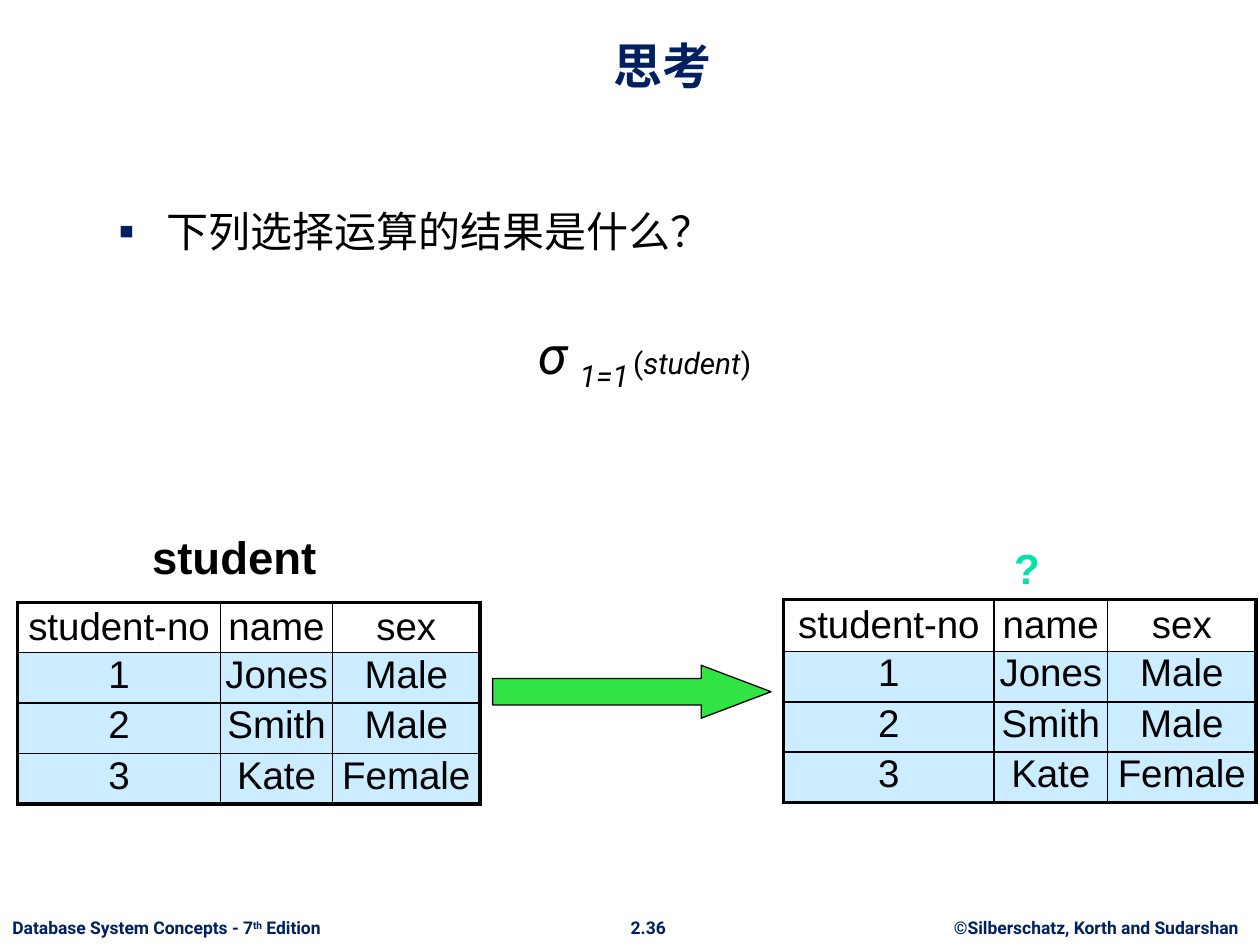
import pptx
import pptx.util
import pptx.dml.color
import pptx.enum.shapes
import pptx.enum.text
import pptx.oxml
import pptx.oxml.ns

PX = 9144
NAVY = pptx.dml.color.RGBColor(0x00, 0x20, 0x60)
BLACK = pptx.dml.color.RGBColor(0x00, 0x00, 0x00)
WHITE = pptx.dml.color.RGBColor(0xFF, 0xFF, 0xFF)
PALE_BLUE = pptx.dml.color.RGBColor(0xCC, 0xEC, 0xFF)
GREEN = pptx.dml.color.RGBColor(0x30, 0xE4, 0x44)
MINT = pptx.dml.color.RGBColor(0x00, 0xE4, 0xA8)

ALIGN = pptx.enum.text.PP_ALIGN
ANCHOR = pptx.enum.text.MSO_ANCHOR

STUDENTS = [
    ("student-no", "name", "sex"),
    ("1", "Jones", "Male"),
    ("2", "Smith", "Male"),
    ("3", "Kate", "Female"),
]


def emu(box):
    return [length * PX for length in box]


def place(shape, box):
    shape.left, shape.top, shape.width, shape.height = emu(box)


def add_span(para, text, size, color=BLACK, font="Roboto", bold=False, italic=False, baseline=0):
    span = para.add_run()
    span.text = text
    span.font.size = pptx.util.Pt(size)
    span.font.name = font
    span.font.bold = bold
    span.font.italic = italic
    span.font.color.rgb = color
    if baseline:
        span._r.get_or_add_rPr().set("baseline", str(baseline * 1000))


def add_xml(parent, markup, position=None):
    declared = markup.replace(" ", " " + pptx.oxml.ns.nsdecls("a") + " ", 1)
    element = pptx.oxml.parse_xml(declared)
    parent.insert(len(parent) if position is None else position, element)


def set_indent(para, left, first):
    properties = para._p.get_or_add_pPr()
    properties.set("marL", str(left * PX))
    properties.set("indent", str(first * PX))
    return properties


def add_label(page, box, align, wrap=True):
    frame = page.shapes.add_textbox(*emu(box)).text_frame
    frame.word_wrap = wrap
    para = frame.paragraphs[0]
    para.alignment = align
    return para


def fill_title(page, box):
    place(page.shapes.title, box)
    frame = page.shapes.title.text_frame
    frame.auto_size = pptx.enum.text.MSO_AUTO_SIZE.NONE
    frame.vertical_anchor = ANCHOR.BOTTOM
    para = frame.paragraphs[0]
    para.alignment = ALIGN.CENTER
    add_span(para, "思考", 28, NAVY, bold=True)


def fill_body(page, box):
    body = page.placeholders[1]
    place(body, box)
    frame = body.text_frame
    frame.auto_size = pptx.enum.text.MSO_AUTO_SIZE.NONE
    frame.margin_top = 43 * PX

    question = frame.paragraphs[0]
    question.space_before = pptx.util.Pt(0)
    properties = set_indent(question, 38, -38)
    add_xml(properties, f'<a:buClr ><a:srgbClr val="{NAVY}"/></a:buClr>')
    add_xml(properties, '<a:buSzPct val="110000"/>')
    add_xml(properties, '<a:buChar char="▪"/>')
    add_span(question, "下列选择运算的结果是什么？", 24)

    formula = frame.add_paragraph()
    formula.alignment = ALIGN.CENTER
    formula.space_before = pptx.util.Pt(38)
    add_xml(set_indent(formula, 12, 0), "<a:buNone />")
    add_span(formula, "σ ", 30, italic=True)
    add_span(formula, "1=1", 30, italic=True, baseline=-25)
    add_span(formula, " ", 17, italic=True, baseline=-25)
    add_span(formula, "(", 17)
    add_span(formula, "student", 17, italic=True)
    add_span(formula, ")", 17)


def set_borders(cell, outer_sides):
    properties = cell._tc.get_or_add_tcPr()
    for position, side in enumerate("LRTB"):
        width = pptx.util.Pt(2.25 if side in outer_sides else 1)
        add_xml(
            properties,
            f'<a:ln{side} w="{width}"><a:solidFill><a:srgbClr val="{BLACK}"/>'
            f"</a:solidFill></a:ln{side}>",
            position,
        )


def add_relation(page, left, top, widths, heights):
    box = (left, top, sum(widths), sum(heights))
    table = page.shapes.add_table(len(heights), len(widths), *emu(box)).table
    table.first_row = table.horz_banding = False
    for column, width in zip(table.columns, widths):
        column.width = width * PX
    for row, height in zip(table.rows, heights):
        row.height = height * PX
    last_row, last_column = len(heights) - 1, len(widths) - 1
    for row, values in enumerate(STUDENTS):
        for column, value in enumerate(values):
            cell = table.cell(row, column)
            cell.margin_left = cell.margin_right = cell.margin_top = cell.margin_bottom = 0
            cell.vertical_anchor = ANCHOR.MIDDLE
            cell.fill.solid()
            cell.fill.fore_color.rgb = PALE_BLUE if row else WHITE
            edges = {"L": column == 0, "R": column == last_column, "T": row == 0, "B": row == last_row}
            set_borders(cell, [side for side, outer in edges.items() if outer])
            para = cell.text_frame.paragraphs[0]
            para.alignment = ALIGN.CENTER
            if row:
                para.line_spacing = 0.8
            add_span(para, value, 22, font="Arial")


def add_result_arrow(page, box):
    arrow = page.shapes.add_shape(pptx.enum.shapes.MSO_SHAPE.RIGHT_ARROW, *emu(box))
    arrow.adjustments[0] = 0.5
    arrow.adjustments[1] = 1.32
    arrow.shadow.inherit = False
    arrow.fill.solid()
    arrow.fill.fore_color.rgb = GREEN
    arrow.line.color.rgb = BLACK
    arrow.line.width = pptx.util.Pt(0.75)


def add_footer(page, box):
    left, top, width, height = box
    edition = add_label(page, (left, top, 281, height), ALIGN.LEFT, wrap=False)
    for text, baseline in (("Database System Concepts - 7", 0), ("th", 30), (" Edition", 0)):
        add_span(edition, text, 10, NAVY, bold=True, baseline=baseline)
    number = add_label(page, (left + 490, top, 49, height), ALIGN.CENTER, wrap=False)
    add_span(number, "2.36", 10, NAVY, bold=True)
    authors = add_label(page, (left + width - 260, top, 260, height), ALIGN.CENTER, wrap=False)
    add_span(authors, "©Silberschatz, Korth and Sudarshan", 10, NAVY, bold=True)


def main():
    deck = pptx.Presentation()
    deck.slide_width, deck.slide_height = emu((1000, 750))
    page = deck.slides.add_slide(deck.slide_layouts[1])
    fill_title(page, (84, 13, 883, 67))
    fill_body(page, (84, 120, 843, 536))
    add_relation(page, 622, 476, (167, 90, 118), (41, 40, 40, 40))
    add_span(add_label(page, (715, 426, 200, 50), ALIGN.CENTER), "?", 24, MINT, "Arial", bold=True)
    add_relation(page, 14, 478, (161, 89, 117), (40, 40, 40, 40))
    add_span(add_label(page, (86, 415, 200, 53), ALIGN.CENTER), "student", 26, font="Arial", bold=True)
    add_result_arrow(page, (391, 528, 221, 42))
    add_footer(page, (0, 723, 1000, 27))
    deck.save("out.pptx")


if __name__ == "__main__":
    main()
